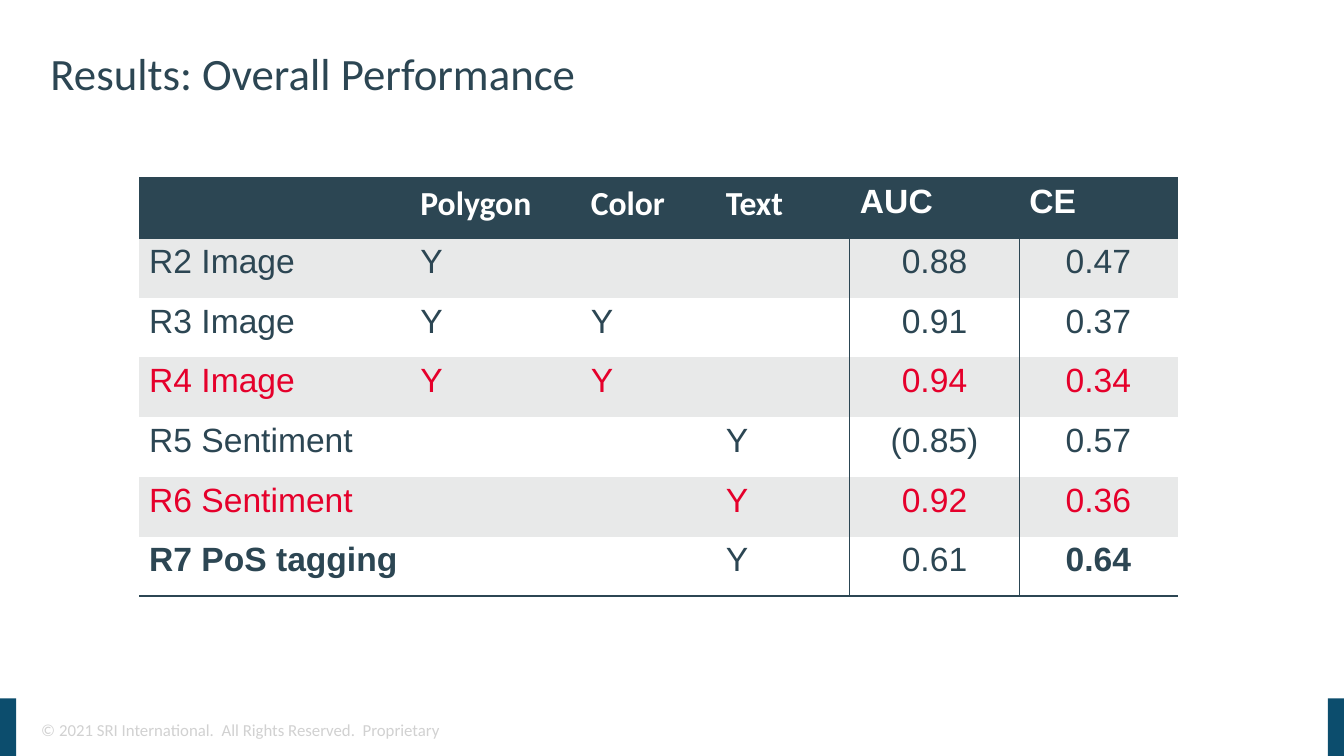
from dataclasses import dataclass

from lxml import etree
from pptx import Presentation
from pptx.dml.color import RGBColor
from pptx.enum.shapes import MSO_SHAPE
from pptx.enum.text import MSO_ANCHOR, MSO_AUTO_SIZE, PP_ALIGN
from pptx.oxml.ns import qn
from pptx.util import Inches, Pt

RECTANGLE = MSO_SHAPE.RECTANGLE
LEFT, CENTER = PP_ALIGN.LEFT, PP_ALIGN.CENTER
MIDDLE = MSO_ANCHOR.MIDDLE
FIXED_SIZE = MSO_AUTO_SIZE.NONE
NO_TABLE_STYLE = "{2D5ABB26-0587-4C30-8999-92F81FD0307C}"

# Grid: 100 columns by 100 rows over the slide
SLIDE_WIDTH, SLIDE_HEIGHT = Inches(13.33), Inches(7.5)
BAR_WIDTH, BAR_TOP = 1.2, 92.4
TABLE_LEFT, TABLE_TOP, ROW_HEIGHT = 10.35, 23.6, 7.9
COLUMN_WIDTHS = [20.18, 12.68, 10.05, 9.98, 12.6, 11.78]


@dataclass(frozen=True)
class Theme:
    ink: str = "2C4653"
    highlight: str = "E5002B"
    bar: str = "0C4D6D"
    band: str = "E8E9E9"
    paper: str = "FFFFFF"
    footer: str = "D1D1D1"
    heading_font: str = "Calibri"
    body_font: str = "Arial"
    title_size: int = 32
    table_size: int = 24
    footer_size: int = 12
    thin: int = 1
    thick: int = 2


THEME = Theme()

# Results table
HEADERS = ["", "Polygon", "Color", "Text", "AUC", "CE"]
RESULTS = [
    ["R2 Image", "Y", "", "", "0.88", "0.47"],
    ["R3 Image", "Y", "Y", "", "0.91", "0.37"],
    ["R4 Image", "Y", "Y", "", "0.94", "0.34"],
    ["R5 Sentiment", "", "", "Y", "(0.85)", "0.57"],
    ["R6 Sentiment", "", "", "Y", "0.92", "0.36"],
    ["R7 PoS tagging", "", "", "Y", "0.61", "0.64"],
]
HIGHLIGHTED_ROWS = {3, 5}
BOLD_CELLS = {(6, 0), (6, 5)}
RULED_COLUMNS = {3, 4}
FIRST_SCORE_COLUMN = 4


def across(columns):
    return round(SLIDE_WIDTH * columns / 100)


def down(rows):
    return round(SLIDE_HEIGHT * rows / 100)


def place(left, top, width, height):
    return across(left), down(top), across(width), down(height)


def write(text_frame, text, *, size, color, font=THEME.body_font,
          bold=False, align=LEFT, line_spacing=None):
    paragraph = text_frame.paragraphs[0]
    paragraph.alignment = align
    paragraph.line_spacing = line_spacing
    run = paragraph.add_run()
    run.text = text
    run.font.name = font
    run.font.size = Pt(size)
    run.font.bold = bold
    run.font.color.rgb = RGBColor.from_string(color)


def add_title(slide, text):
    title = slide.shapes.title
    title.left, title.top, title.width, title.height = place(3, 4, 93.92, 12)
    title.text_frame.auto_size = FIXED_SIZE
    title.text_frame.vertical_anchor = MIDDLE
    write(title.text_frame, text, size=THEME.title_size, color=THEME.ink,
          font=THEME.heading_font, line_spacing=0.9)


def add_bar(slide, left):
    bar = slide.shapes.add_shape(
        RECTANGLE, *place(left, BAR_TOP, BAR_WIDTH, 100 - BAR_TOP))
    bar.shadow.inherit = False
    bar.fill.solid()
    bar.fill.fore_color.rgb = RGBColor.from_string(THEME.bar)
    bar.line.fill.background()


def add_footer(slide, text):
    box = slide.shapes.add_textbox(*place(2.33, 94.53, 31.5, 4))
    box.text_frame.word_wrap = False
    write(box.text_frame, text, size=THEME.footer_size, color=THEME.footer,
          font=THEME.heading_font)


def add_border(cell, side, width):
    properties = cell._tc.get_or_add_tcPr()
    line = etree.SubElement(properties, qn(f"a:ln{side}"), w=str(Pt(width)))
    fill = etree.SubElement(line, qn("a:solidFill"))
    etree.SubElement(fill, qn("a:srgbClr"), val=THEME.ink)


def format_cell(cell, row, column):
    # Borders go before the fill: left, right, top, bottom
    if column - 1 in RULED_COLUMNS:
        add_border(cell, "L", THEME.thin)
    if column in RULED_COLUMNS:
        add_border(cell, "R", THEME.thin)
    if row == 0:
        add_border(cell, "T", THEME.thick)
    if row in (0, len(RESULTS)):
        add_border(cell, "B", THEME.thick)
    fill = THEME.ink if row == 0 else THEME.band if row % 2 else THEME.paper
    cell.fill.solid()
    cell.fill.fore_color.rgb = RGBColor.from_string(fill)


def write_cell(cell, text, row, column):
    is_score = column >= FIRST_SCORE_COLUMN
    if row == 0:
        font = THEME.body_font if is_score else THEME.heading_font
        write(cell.text_frame, text, size=THEME.table_size,
              color=THEME.paper, font=font, bold=True)
    else:
        color = THEME.highlight if row in HIGHLIGHTED_ROWS else THEME.ink
        write(cell.text_frame, text, size=THEME.table_size, color=color,
              bold=(row, column) in BOLD_CELLS,
              align=CENTER if is_score else LEFT)


def add_results_table(slide):
    contents = [HEADERS, *RESULTS]
    frame = slide.shapes.add_table(
        len(contents), len(HEADERS),
        *place(TABLE_LEFT, TABLE_TOP, sum(COLUMN_WIDTHS),
               ROW_HEIGHT * len(contents)))
    table = frame.table
    table._tbl.tblPr.find(qn("a:tableStyleId")).text = NO_TABLE_STYLE
    table.horz_banding = False
    for table_column, width in zip(table.columns, COLUMN_WIDTHS):
        table_column.width = across(width)
    for row, texts in enumerate(contents):
        table.rows[row].height = down(ROW_HEIGHT)
        for column, text in enumerate(texts):
            cell = table.cell(row, column)
            format_cell(cell, row, column)
            if text:
                write_cell(cell, text, row, column)


def main():
    presentation = Presentation()
    presentation.slide_width = SLIDE_WIDTH
    presentation.slide_height = SLIDE_HEIGHT
    slide = presentation.slides.add_slide(presentation.slide_layouts[5])

    # Footer band
    add_bar(slide, 0)
    add_footer(slide, "© 2021 SRI International.  All Rights Reserved.  Proprietary")
    add_bar(slide, 100 - BAR_WIDTH)

    # Content
    add_title(slide, "Results: Overall Performance")
    add_results_table(slide)
    presentation.save("out.pptx")


if __name__ == "__main__":
    main()
